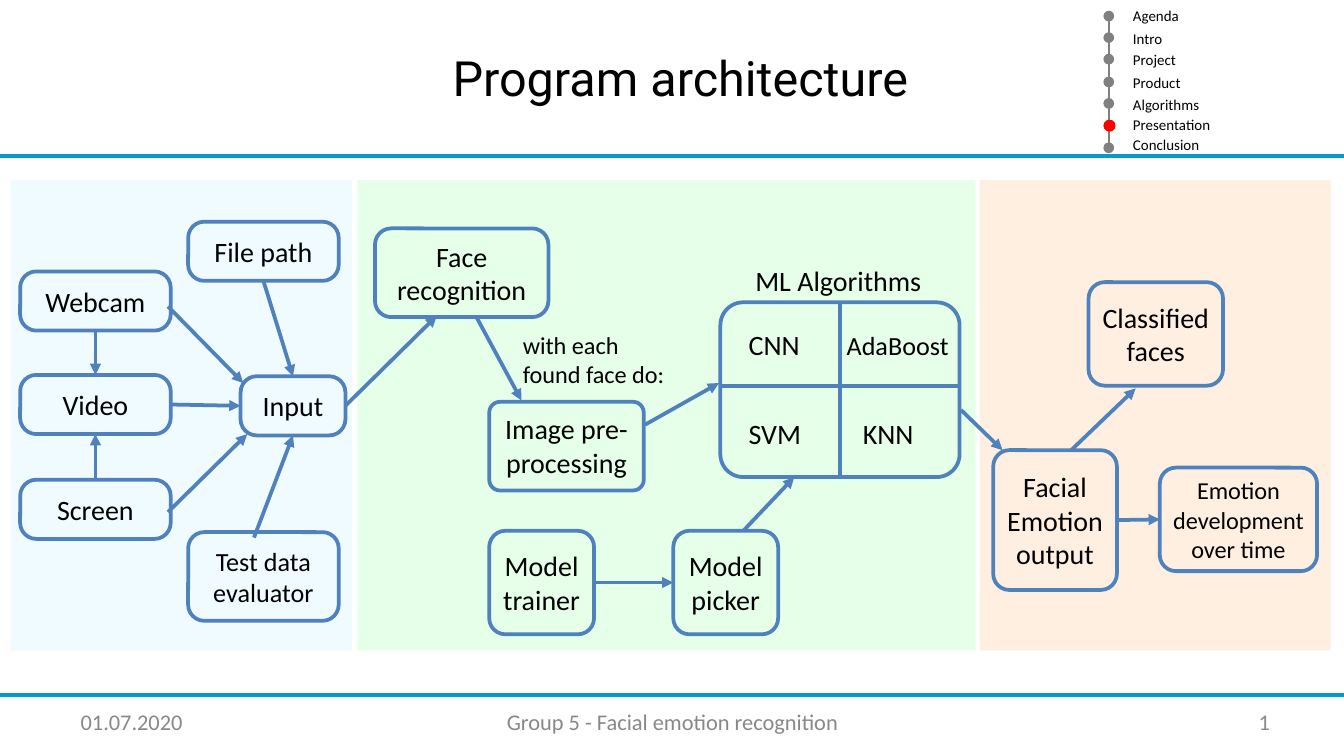
from dataclasses import dataclass

from lxml.etree import SubElement
from pptx import Presentation
from pptx.dml.color import RGBColor as Rgb
from pptx.enum.shapes import MSO_CONNECTOR as Link, MSO_SHAPE as Form
from pptx.enum.text import MSO_ANCHOR as Anchor, MSO_AUTO_SIZE as Fit, PP_ALIGN as Align
from pptx.oxml.ns import qn
from pptx.util import Pt

PX = 9144  # 100 px to the inch
TOP, LEFT, BOTTOM, RIGHT = range(4)


@dataclass(frozen=True)
class Theme:
    font: str = "Calibri"
    head: str = "Roboto"
    ink: str = "000000"
    mute: str = "888888"
    gray: str = "808080"
    red: str = "FF0000"
    rule: str = "009CD1"
    edge: str = "4F81BD"
    blue: str = "8EE7FF"
    green: str = "41FF4F"
    amber: str = "FF871E"
    alpha: int = 13
    title: int = 26
    node: int = 15
    mid: int = 14
    small: int = 13
    foot: int = 12
    nav: int = 8


LOOK = Theme()


def within(box, x, y, w, h):
    """Turn a box relative to another into one on the slide."""
    return box[0] + x, box[1] + y, w, h


def emu(box):
    return [n * PX for n in box]


def write(shape, text, size, color=LOOK.ink, font=LOOK.font, align=Align.LEFT,
          anchor=Anchor.TOP, wrap=True):
    frame = shape.text_frame
    frame.auto_size, frame.word_wrap = Fit.NONE, wrap
    frame.vertical_anchor = anchor
    frame.margin_left = frame.margin_right = 5 * PX
    frame.margin_top = frame.margin_bottom = 5 * PX
    for i, line in enumerate(text.split("\n")):
        para = frame.add_paragraph() if i else frame.paragraphs[0]
        para.alignment = align
        run = para.add_run()
        run.text = line
        run.font.name, run.font.size = font, Pt(size)
        run.font.color.rgb = Rgb.from_string(color)


def label(slide, box, text, size, **style):
    write(slide.shapes.add_textbox(*emu(box)), text, size, **style)


def solid(slide, form, box, color):
    shape = slide.shapes.add_shape(form, *emu(box))
    shape.shadow.inherit = False
    shape.fill.solid()
    shape.fill.fore_color.rgb = Rgb.from_string(color)
    shape.line.fill.background()
    return shape


def panel(slide, box, color):
    shape = solid(slide, Form.RECTANGLE, box, color)
    tint = shape.element.spPr.xpath(".//a:srgbClr")[0]
    SubElement(tint, qn("a:alpha")).set("val", str(LOOK.alpha * 1000))


def node(slide, box, text="", size=LOOK.node, round=12, anchor=Anchor.MIDDLE):
    shape = slide.shapes.add_shape(Form.ROUNDED_RECTANGLE, *emu(box))
    shape.shadow.inherit = False
    shape.adjustments[0] = round / min(box[2:])
    shape.fill.background()
    shape.line.color.rgb = Rgb.from_string(LOOK.edge)
    shape.line.width = Pt(2)
    if text:
        write(shape, text, size, align=Align.CENTER, anchor=anchor)
    return shape


def stroke(slide, box, start, end, color=LOOK.edge, width=2):
    ends = [(box[i % 2] + n) * PX for i, n in enumerate((*start, *end))]
    line = slide.shapes.add_connector(Link.STRAIGHT, *ends)
    line.line.color.rgb = Rgb.from_string(color)
    line.line.width = Pt(width)
    SubElement(line.element.spPr, qn("a:effectLst"))
    return line


def arrow(slide, box, start, end):
    """Each end is a point in the box, or a shape and the side to join."""
    tied = [not isinstance(stop[0], int) for stop in (start, end)]
    line = stroke(slide, box, (0, 0) if tied[0] else start, (0, 0) if tied[1] else end)
    if tied[0]:
        line.begin_connect(*start)
    if tied[1]:
        line.end_connect(*end)
    edge = line.element.spPr.find(qn("a:ln"))
    SubElement(edge, qn("a:tailEnd")).set("type", "triangle")


def header(slide, box):
    stroke(slide, box, (0, 116), (box[2], 116), LOOK.rule)
    title = slide.shapes.title
    title.left, title.top, title.width, title.height = emu(within(box, 40, 30, 933, 55))
    write(title, "Program architecture", LOOK.title, font=LOOK.head,
          align=Align.CENTER, anchor=Anchor.MIDDLE)


def agenda(slide, box):
    stroke(slide, box, (4, 12), (4, 110), LOOK.gray, 1)
    items = (("Agenda", 0), ("Intro", 17), ("Project", 33), ("Product", 50),
             ("Algorithms", 66), ("Presentation", 81), ("Conclusion", 96))
    for i, (text, y) in enumerate(items):
        now = text == "Presentation"
        side = 9 if now else 8
        dot = within(box, 0, 8 + i * 49 // 3, side, side)
        solid(slide, Form.OVAL, dot, LOOK.red if now else LOOK.gray)
        label(slide, within(box, 17, y, 120, 24), text, LOOK.nav)


def source(slide, box):
    """Draw the input panel and give back its Input node."""
    panel(slide, box, LOOK.blue)
    webcam, video, screen = (
        node(slide, within(box, 7, y, 112, 44), text)
        for text, y in (("Webcam", 68), ("Video", 145), ("Screen", 223)))
    file = node(slide, within(box, 132, 31, 112, 44), "File path")
    node(slide, within(box, 132, 262, 112, 66), "Test data\nevaluator", LOOK.mid)
    entry = node(slide, within(box, 171, 146, 78, 44), "Input")
    for start, end in (
            ((webcam, BOTTOM), (video, TOP)),
            ((screen, TOP), (video, BOTTOM)),
            ((video, RIGHT), (entry, LEFT)),
            ((file, BOTTOM), (entry, TOP)),
            ((181, 266), (entry, BOTTOM)),
            ((117, 94), (173, 151)),
            ((117, 247), (176, 189))):
        arrow(slide, box, start, end)
    return entry


def models(slide, box):
    node(slide, box, round=17)
    stroke(slide, box, (0, 62), (box[2], 62))
    stroke(slide, box, (89, 0), (89, box[3]))
    for text, x, y, w, size in (
            ("ML Algorithms", 21, -34, 135, LOOK.node),
            ("CNN", 16, 14, 49, LOOK.node),
            ("AdaBoost", 89, 15, 87, LOOK.mid),
            ("SVM", 16, 80, 50, LOOK.node),
            ("KNN", 101, 80, 49, LOOK.node)):
        label(slide, within(box, x, y, w, 35), text, size, wrap=False)


def process(slide, box, entry):
    panel(slide, box, LOOK.green)
    node(slide, within(box, 13, 36, 129, 66), "Face recognition")
    node(slide, within(box, 98, 165, 115, 66), "Image pre-processing",
         round=8, anchor=Anchor.TOP)
    trainer, picker = (node(slide, within(box, x, 261, 78, 77), text)
                       for text, x in (("Model trainer", 98), ("Model picker", 235)))
    models(slide, within(box, 270, 91, 178, 130))
    label(slide, within(box, 118, 107, 120, 52), "with each found face do:", LOOK.small)
    for start, end in (
            ((entry, RIGHT), (59, 101)),
            ((88, 101), (122, 164)),
            ((214, 182), (269, 151)),
            ((trainer, RIGHT), (picker, LEFT)),
            ((287, 261), (325, 221))):
        arrow(slide, box, start, end)


def result(slide, box):
    panel(slide, box, LOOK.amber)
    node(slide, within(box, 81, 76, 100, 77), "Classified\nfaces")
    trend = node(slide, within(box, 134, 214, 117, 77),
                 "Emotion development over time", LOOK.small)
    out = node(slide, within(box, 10, 201, 92, 104), "Facial Emotion\noutput")
    arrow(slide, box, (-14, 171), (17, 201))
    arrow(slide, box, (68, 201), (116, 155))
    arrow(slide, box, (out, RIGHT), (trend, LEFT))


def footer(slide, box):
    stroke(slide, box, (0, 0), (box[2], 0), LOOK.rule)
    for text, x, w, align in (
            ("01.07.2020", 55, 223, Align.LEFT),
            ("Group 5 - Facial emotion recognition", 347, 307, Align.CENTER),
            ("1", 930, 20, Align.RIGHT)):
        label(slide, within(box, x, 5, w, 29), text, LOOK.foot, color=LOOK.mute,
              align=align, anchor=Anchor.MIDDLE)


def main():
    deck = Presentation()
    wide = 1000 * PX
    deck.slide_width, deck.slide_height = wide, wide * 9 // 16
    slide = deck.slides.add_slide(deck.slide_layouts[5])
    header(slide, (0, 0, 1000, 117))
    agenda(slide, (821, 0, 137, 120))
    entry = source(slide, (8, 134, 254, 350))
    process(slide, (266, 134, 460, 350), entry)
    result(slide, (729, 134, 261, 350))
    footer(slide, (0, 517, 1000, 45))
    deck.save("out.pptx")


if __name__ == "__main__":
    main()
